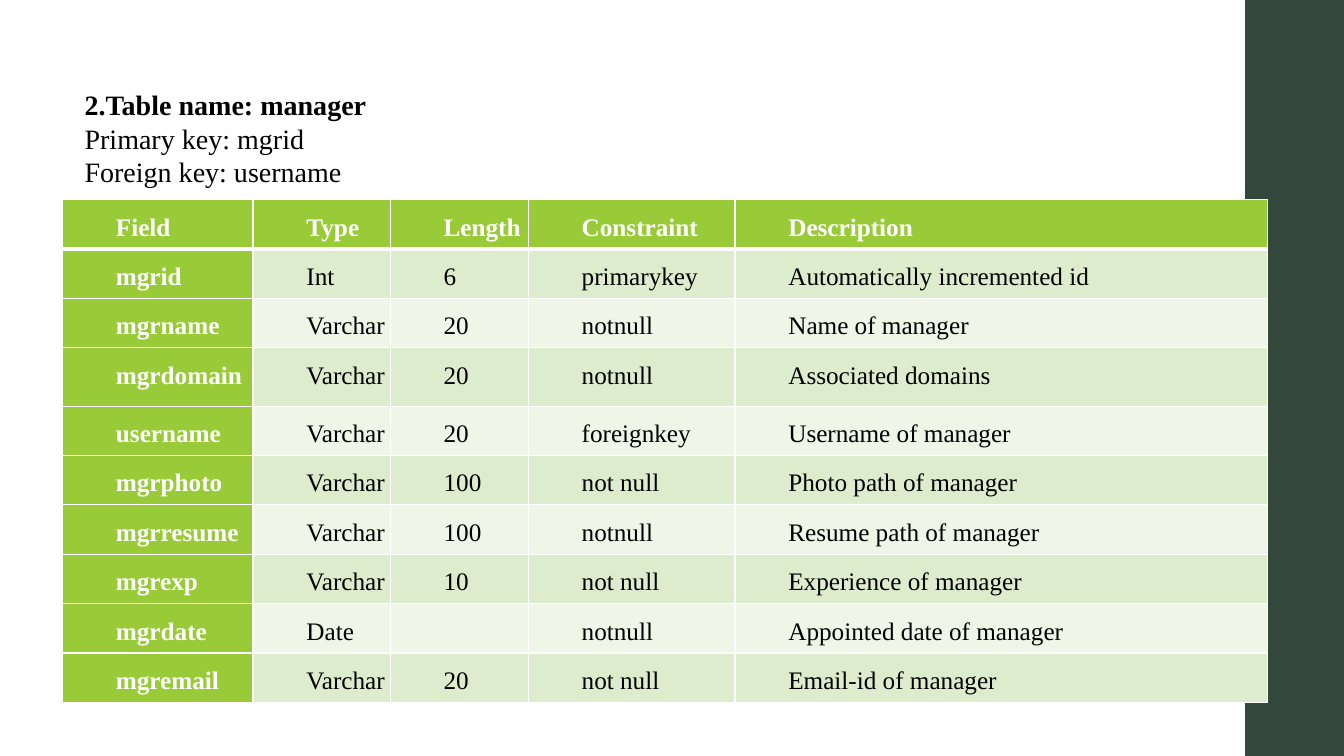
import pptx
import pptx.util
import pptx.dml.color
import pptx.enum.shapes
import pptx.enum.text
from lxml import etree
from pptx.dml.color import RGBColor
from pptx.util import Inches

HEADING = [("2.Table name: manager", True), ("Primary key: mgrid", False), ("Foreign key: username", False)]
FIELDS = [
    ("Field", "Type", "Length", "Constraint", "Description"),
    ("mgrid", "Int", "6", "primarykey", "Automatically incremented id"),
    ("mgrname", "Varchar", "20", "notnull", "Name of manager"),
    ("mgrdomain", "Varchar", "20", "notnull", "Associated domains"),
    ("username", "Varchar", "20", "foreignkey", "Username of manager"),
    ("mgrphoto", "Varchar", "100", "not null", "Photo path of manager"),
    ("mgrresume", "Varchar", "100", "notnull", "Resume path of manager"),
    ("mgrexp", "Varchar", "10", "not null", "Experience of manager"),
    ("mgrdate", "Date", "", "notnull", "Appointed date of manager"),
    ("mgremail", "Varchar", "20", "not null", "Email-id of manager"),
]
COLUMN_WIDTHS = [1.89, 1.36, 1.37, 2.05, 5.28]
ROW_HEIGHT = 0.49
TALL_ROW, TALL_HEIGHT = 3, 0.58

FONT = "Times New Roman"
WHITE = RGBColor(0xFF, 0xFF, 0xFF)
BLACK = RGBColor(0, 0, 0)
DARK_GREEN = RGBColor(0x34, 0x47, 0x3D)
GREEN = RGBColor(0x99, 0xCB, 0x38)
BANDS = [RGBColor(0xEF, 0xF6, 0xE8), RGBColor(0xDE, 0xEC, 0xCE)]


def add_text(paragraph, text, size, color, bold):
    paragraph.alignment = pptx.enum.text.PP_ALIGN.JUSTIFY
    run = paragraph.add_run()
    run.text = text
    run.font.name = FONT
    run.font.size = pptx.util.Pt(size)
    run.font.color.rgb = color
    run.font.bold = bold


def set_borders(cell, row):
    """Draw white cell borders, thick between the header and the body."""
    widths = {"L": 1, "R": 1, "T": 3 if row == 1 else 1, "B": 3 if row == 0 else 1}
    namespace = pptx.oxml.ns.nsdecls("a")
    properties = cell._tc.get_or_add_tcPr()
    for index, (side, width) in enumerate(widths.items()):
        border = etree.fromstring(
            f'<a:ln{side} {namespace} w="{pptx.util.Pt(width)}"><a:solidFill>'
            f'<a:srgbClr val="{WHITE}"/></a:solidFill></a:ln{side}>')
        properties.insert(index, border)


def fill_cell(cell, text, row, column):
    is_header = row == 0 or column == 0
    cell.margin_left = cell.margin_right = Inches(0.03)
    cell.margin_top = cell.margin_bottom = 0
    cell.fill.solid()
    cell.fill.fore_color.rgb = GREEN if is_header else BANDS[row % 2]
    set_borders(cell, row)
    if text:
        paragraph = cell.text_frame.paragraphs[0]
        paragraph._p.get_or_add_pPr().set("marL", str(Inches(0.5)))
        paragraph.line_spacing = 1.5
        if column == len(COLUMN_WIDTHS) - 1:
            paragraph.space_after = pptx.util.Pt(10)
        add_text(paragraph, text, 18, WHITE if is_header else BLACK, is_header)


def add_field_table(slide):
    heights = [TALL_HEIGHT if row == TALL_ROW else ROW_HEIGHT for row in range(len(FIELDS))]
    table = slide.shapes.add_table(
        len(FIELDS), len(COLUMN_WIDTHS), Inches(0.62), Inches(1.98),
        Inches(sum(COLUMN_WIDTHS)), Inches(sum(heights))).table
    for column, width in enumerate(COLUMN_WIDTHS):
        table.columns[column].width = Inches(width)
    for row, values in enumerate(FIELDS):
        table.rows[row].height = Inches(heights[row])
        for column, text in enumerate(values):
            fill_cell(table.cell(row, column), text, row, column)


def add_heading(slide):
    frame = slide.shapes.add_textbox(Inches(0.74), Inches(0.82), Inches(6.79), Inches(1.11)).text_frame
    frame.word_wrap = True
    frame.auto_size = pptx.enum.text.MSO_AUTO_SIZE.SHAPE_TO_FIT_TEXT
    for index, (text, bold) in enumerate(HEADING):
        paragraph = frame.add_paragraph() if index else frame.paragraphs[0]
        add_text(paragraph, text, 20, BLACK, bold)


def main():
    presentation = pptx.Presentation()
    presentation.slide_width = Inches(13.33)
    presentation.slide_height = Inches(7.5)
    slide = presentation.slides.add_slide(presentation.slide_layouts[6])

    side_band = slide.shapes.add_shape(
        pptx.enum.shapes.MSO_SHAPE.RECTANGLE, Inches(12.35), 0, Inches(0.98), Inches(7.5))
    side_band.shadow.inherit = False
    side_band.fill.solid()
    side_band.fill.fore_color.rgb = DARK_GREEN
    side_band.line.fill.background()

    add_field_table(slide)
    add_heading(slide)
    presentation.save("out.pptx")


if __name__ == "__main__":
    main()
